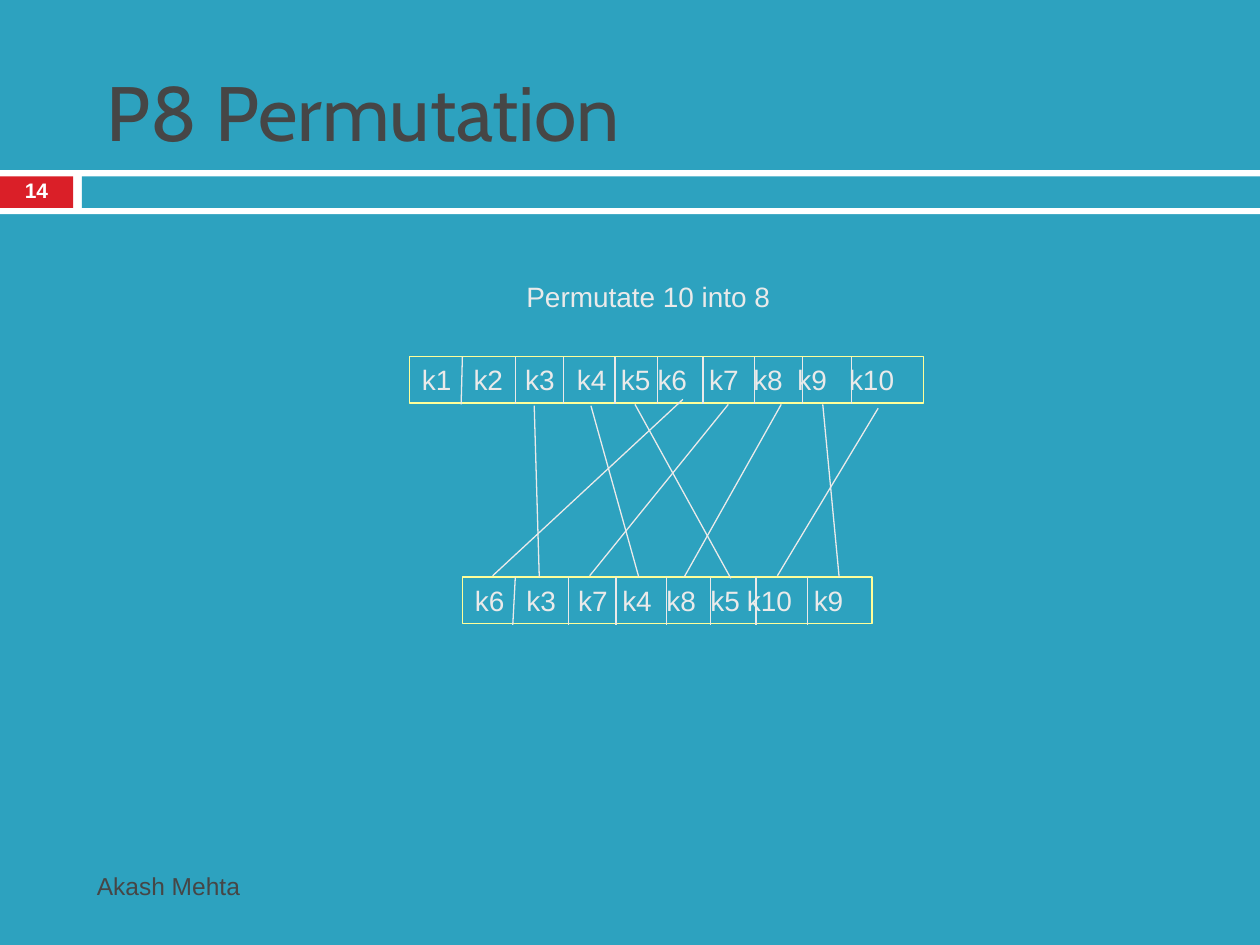
from dataclasses import dataclass
from itertools import accumulate

import pptx
import pptx.dml.color
import pptx.enum.shapes
import pptx.enum.text
import pptx.oxml.xmlchemy
import pptx.util

Inches = pptx.util.Inches
Color = pptx.dml.color.RGBColor.from_string
Anchor = pptx.enum.text.MSO_ANCHOR
Align = pptx.enum.text.PP_ALIGN
new_element = pptx.oxml.xmlchemy.OxmlElement


@dataclass(frozen=True)
class Theme:
    background: str = "2DA2BF"
    white: str = "FFFFFF"
    accent: str = "DA1F28"
    dark: str = "464646"
    light: str = "EAEAEA"
    frame: str = "FFFF99"
    title_font: str = "Cabin"
    body_font: str = "Arial"
    title_size: int = 44
    body_size: int = 16
    footer_size: int = 14
    number_size: int = 12
    line_width: float = 0.75


@dataclass(frozen=True)
class Box:
    left: float
    top: float
    width: float
    height: float

    def lengths(self) -> list:
        return [Inches(value) for value in (self.left, self.top, self.width, self.height)]


@dataclass(frozen=True)
class KeyRow:
    box: Box
    labels: str
    gaps: tuple  # space widths between neighbouring labels
    dividers: tuple
    first_lean: float  # sideways shift of the first divider's foot


@dataclass(frozen=True)
class Link:
    start: tuple
    end: tuple


THEME = Theme()
DIVIDER_HEIGHT = 0.38
SPACE_WIDTH = 0.06
LETTER_WIDTH = 0.11
DIGIT_WIDTH = 0.12

ROWS = (
    KeyRow(Box(3.25, 2.83, 4.08, 0.37), "k1 k2 k3 k4 k5 k6 k7 k8 k9 k10",
           (3, 3, 3, 2, 1, 3, 2, 2, 3),
           (3.67, 4.09, 4.47, 4.88, 5.22, 5.58, 5.99, 6.37, 6.76), -0.01),
    KeyRow(Box(3.67, 4.58, 3.25, 0.37), "k6 k3 k7 k4 k8 k5 k10 k9",
           (3, 3, 2, 2, 2, 1, 3),
           (4.09, 4.51, 4.89, 5.29, 5.64, 6, 6.41), -0.02),
)

LINKS = (
    Link((5.42, 3.17), (3.91, 4.57)),
    Link((4.24, 3.22), (4.28, 4.58)),
    Link((5.78, 3.21), (4.68, 4.57)),
    Link((4.69, 3.22), (5.07, 4.58)),
    Link((6.2, 3.21), (5.43, 4.58)),
    Link((5.04, 3.21), (5.8, 4.59)),
    Link((6.97, 3.24), (6.17, 4.57)),
    Link((6.53, 3.21), (6.66, 4.58)),
)


def add_bar(slide, box: Box, color: str) -> None:
    shape = slide.shapes.add_shape(pptx.enum.shapes.MSO_SHAPE.RECTANGLE, *box.lengths())
    shape.shadow.inherit = False
    shape.fill.solid()
    shape.fill.fore_color.rgb = Color(color)
    shape.line.fill.background()


def add_line(slide, start: tuple, end: tuple) -> None:
    connector = slide.shapes.add_connector(
        pptx.enum.shapes.MSO_CONNECTOR.STRAIGHT,
        *(Inches(value) for value in (*start, *end)))
    connector.line.color.rgb = Color(THEME.light)
    connector.line.width = pptx.util.Pt(THEME.line_width)
    connector._element.spPr.append(new_element("a:effectLst"))


def write_text(shape, text: str, size: int, color: str, font: str = THEME.body_font,
               anchor=Anchor.TOP, align=Align.LEFT, bold: bool = False):
    frame = shape.text_frame
    frame.text = text
    frame.word_wrap = True
    frame.vertical_anchor = anchor
    paragraph = frame.paragraphs[0]
    paragraph.alignment = align
    for run in paragraph.runs:
        run.font.name = font
        run.font.size = pptx.util.Pt(size)
        run.font.bold = bold
        run.font.color.rgb = Color(color)
    return paragraph


def add_text(slide, box: Box, text: str, size: int, color: str, **style):
    return write_text(slide.shapes.add_textbox(*box.lengths()), text, size, color, **style)


def add_tab_stops(paragraph, positions: list) -> None:
    tab_list = new_element("a:tabLst")
    for position in positions:
        tab = new_element("a:tab")
        tab.set("pos", str(Inches(position)))
        tab.set("algn", "l")
        tab_list.append(tab)
    paragraph._p.get_or_add_pPr().append(tab_list)


def label_width(label: str) -> float:
    return LETTER_WIDTH + (len(label) - 1) * DIGIT_WIDTH


def add_key_row(slide, row: KeyRow) -> None:
    shape = slide.shapes.add_shape(pptx.enum.shapes.MSO_SHAPE.RECTANGLE, *row.box.lengths())
    shape.shadow.inherit = False
    shape.fill.background()
    shape.line.color.rgb = Color(THEME.frame)
    shape.line.width = pptx.util.Pt(THEME.line_width)
    labels = row.labels.split()
    paragraph = write_text(shape, "\t".join(labels), THEME.body_size, THEME.light)
    steps = [label_width(label) + gap * SPACE_WIDTH for label, gap in zip(labels, row.gaps)]
    add_tab_stops(paragraph, list(accumulate(steps)))
    for index, left in enumerate(row.dividers):
        lean = row.first_lean if index == 0 else 0
        add_line(slide, (left, row.box.top), (left + lean, row.box.top + DIVIDER_HEIGHT))


def main() -> None:
    presentation = pptx.Presentation()
    presentation.slide_width = Inches(10)
    presentation.slide_height = Inches(7.5)
    slide = presentation.slides.add_slide(presentation.slide_layouts[6])
    slide.background.fill.solid()
    slide.background.fill.fore_color.rgb = Color(THEME.background)

    # Header band and title
    add_bar(slide, Box(0, 1.35, 10, 0.35), THEME.white)
    add_bar(slide, Box(0, 1.4, 0.58, 0.25), THEME.accent)
    add_bar(slide, Box(0.65, 1.4, 9.35, 0.25), THEME.background)
    add_text(slide, Box(0.75, 0.25, 8.5, 1.25), "P8 Permutation", THEME.title_size,
             THEME.dark, font=THEME.title_font, anchor=Anchor.MIDDLE)

    # Key rows and the links between them
    for row in ROWS:
        add_key_row(slide, row)
    for link in LINKS:
        add_line(slide, link.start, link.end)
    add_text(slide, Box(4.08, 2.17, 2.17, 0.37), "Permutate 10 into 8",
             THEME.body_size, THEME.light)

    # Slide number and footer
    number = add_text(slide, Box(0, 1.39, 0.58, 0.27), "14", THEME.number_size, THEME.white,
                      anchor=Anchor.MIDDLE, align=Align.CENTER, bold=True)
    number.line_spacing = 0.8
    add_text(slide, Box(0.67, 6.83, 5.93, 0.4), "Akash Mehta", THEME.footer_size,
             THEME.dark, anchor=Anchor.MIDDLE)

    presentation.save("out.pptx")


if __name__ == "__main__":
    main()
